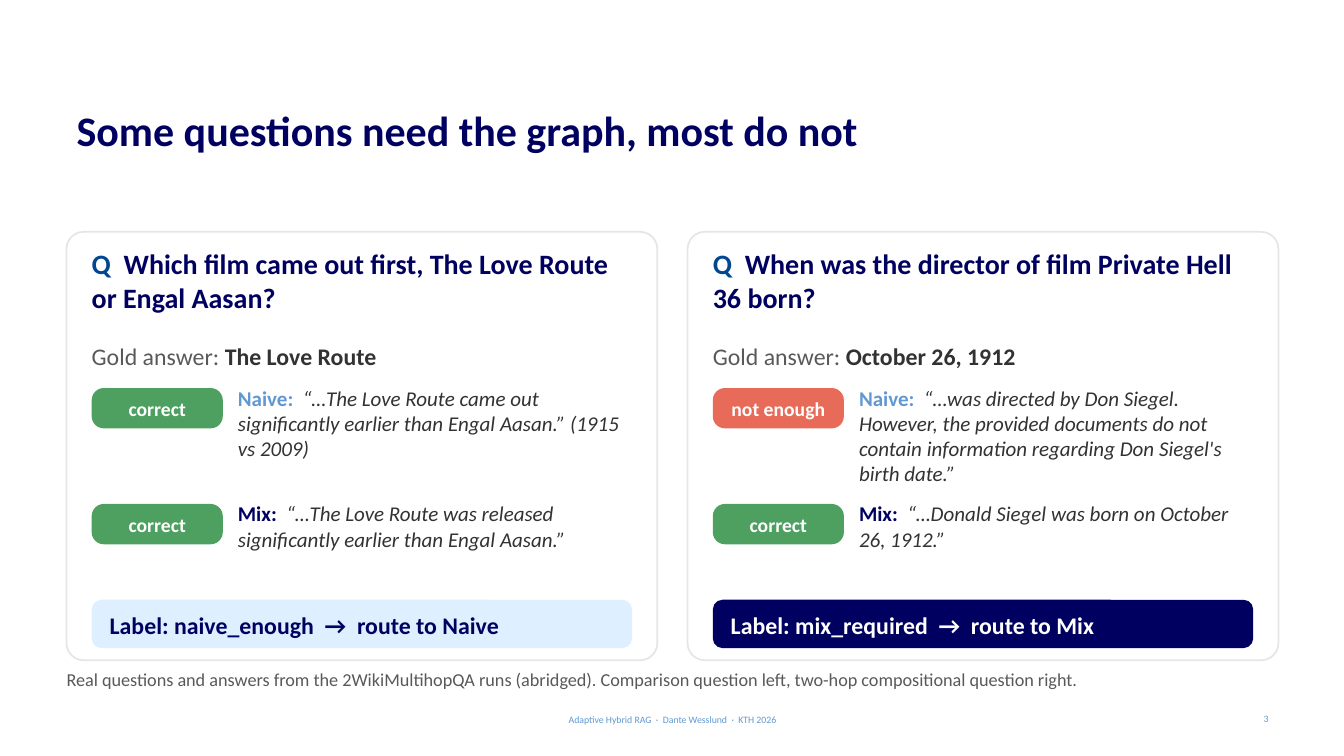
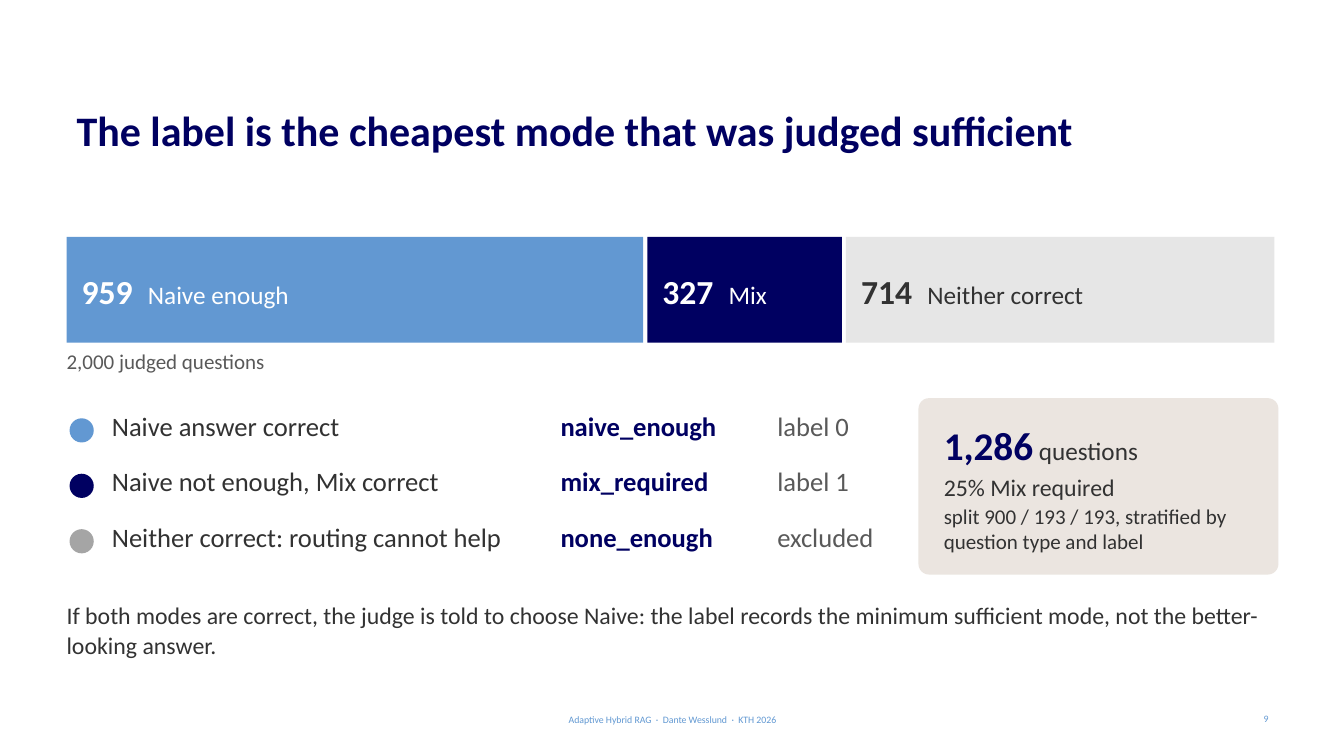
"""Build two slides on routing labels for hybrid retrieval."""
from pptx import Presentation
from pptx.dml.color import RGBColor as Rgb
from pptx.enum.shapes import MSO_SHAPE as Kind
from pptx.enum.text import MSO_ANCHOR as Anchor, MSO_AUTO_SIZE as Fit, PP_ALIGN as Align
from pptx.util import Pt

PX = 9144
FONT = "Calibri"
LEFT, WIDE = 66, 1202
HUE = {
    "navy": "000061", "blue": "004791", "sky": "6298D2", "foot": "6198D2",
    "pale": "DEF0FF", "ink": "323232", "mute": "595959", "gray": "A5A5A5",
    "rule": "E6E6E6", "sand": "EBE5E0", "good": "4DA060", "bad": "E86A58",
    "white": "FFFFFF",
}


def write(shape, *lines, pad=(0, 0, 0, 0), anchor=Anchor.TOP, align=Align.LEFT, lead=1.05, gap=0):
    """Fill a shape with lines, each a list of (text, size, hue, style) runs."""
    frame = shape.text_frame
    frame.word_wrap = True
    frame.auto_size = Fit.NONE
    frame.vertical_anchor = anchor
    frame.margin_left, frame.margin_top, frame.margin_right, frame.margin_bottom = [n * PX for n in pad]
    for i, line in enumerate(lines):
        para = frame.add_paragraph() if i else frame.paragraphs[0]
        para.alignment = align
        para.line_spacing = lead
        para.space_after = Pt(gap)
        for text, size, hue, style in line:
            run = para.add_run()
            run.text = text
            run.font.name = FONT
            run.font.size = Pt(size)
            run.font.bold = style == "bold"
            run.font.italic = style == "italic"
            run.font.color.rgb = Rgb.from_string(HUE[hue])


def draw(slide, box, kind=None, fill=None, edge=None, bend=None):
    """Add a text box, or a filled shape when a kind is given."""
    spot = [n * PX for n in box]
    if kind is None:
        return slide.shapes.add_textbox(*spot)
    shape = slide.shapes.add_shape(kind, *spot)
    shape.shadow.inherit = False
    shape.fill.solid()
    shape.fill.fore_color.rgb = Rgb.from_string(HUE[fill])
    if edge:
        shape.line.color.rgb = Rgb.from_string(HUE[edge])
        shape.line.width = Pt(1.25)
    else:
        shape.line.fill.background()
    if bend:
        shape.adjustments[0] = bend
    return shape


deck = Presentation()
deck.slide_width, deck.slide_height = 1333 * PX, 750 * PX

heads = [
    ("Some questions need the graph, most do not", "3"),
    ("The label is the cheapest mode that was judged sufficient", "9"),
]
for head, page in heads:
    slide = deck.slides.add_slide(deck.slide_layouts[5])
    title = slide.shapes.title
    title.left, title.top, title.width, title.height = [n * PX for n in (LEFT, 95, WIDE, 105)]
    write(title, [(head, 30, "navy", "bold")], pad=(10, 12, 10, 5), lead=0.95)
    feet = [
        ((442, 708, 450, 11), "Adaptive Hybrid RAG  ·  Dante Wesslund  ·  KTH 2026", Align.CENTER),
        ((968, 708, 300, 10), page, Align.RIGHT),
    ]
    for box, text, align in feet:
        write(draw(slide, box), [(text, 7, "foot", "")], pad=(10, 5, 10, 5),
              anchor=Anchor.MIDDLE, align=align, lead=1.0)

graph, label = deck.slides

cards = [
    ("Which film came out first, The Love Route or Engal Aasan?", "The Love Route",
     [("correct", "good", "Naive:  ", "sky",
       "“…The Love Route came out significantly earlier than Engal Aasan.” (1915 vs 2009)"),
      ("correct", "good", "Mix:  ", "navy",
       "“…The Love Route was released significantly earlier than Engal Aasan.”")],
     "Label: naive_enough  →  route to Naive", "pale", "navy"),
    ("When was the director of film Private Hell 36 born?", "October 26, 1912",
     [("not enough", "bad", "Naive:  ", "sky",
       "“…was directed by Don Siegel. However, the provided documents do not contain "
       "information regarding Don Siegel's birth date.”"),
      ("correct", "good", "Mix:  ", "navy", "“…Donald Siegel was born on October 26, 1912.”")],
     "Label: mix_required  →  route to Mix", "navy", "white"),
]
for i, (ask, gold, modes, route, fill, hue) in enumerate(cards):
    x = LEFT + i * 616
    draw(graph, (x, 230, 586, 425), Kind.ROUNDED_RECTANGLE, "white", "rule", 0.04)
    x += 25
    write(draw(graph, (x, 245, 536, 95)),
          [("Q  ", 20, "blue", "bold"), (ask, 20, "navy", "bold")], lead=1.0)
    write(draw(graph, (x, 338, 536, 35)),
          [("Gold answer: ", 17, "mute", ""), (gold, 17, "ink", "bold")])
    for j, (mark, tint, mode, tone, quote) in enumerate(modes):
        y = 385 + j * 115
        pill = draw(graph, (x, y, 130, 40), Kind.ROUNDED_RECTANGLE, tint, bend=0.3)
        write(pill, [(mark, 14, "white", "bold")], pad=(2, 2, 2, 2),
              anchor=Anchor.MIDDLE, align=Align.CENTER)
        write(draw(graph, (x + 145, y - 3, 386, 105)),
              [(mode, 15, tone, "bold"), (quote, 15, "ink", "italic")], lead=1.0)
    band = draw(graph, (x, 595, 536, 48), Kind.ROUNDED_RECTANGLE, fill, bend=0.2)
    write(band, [(route, 17, hue, "bold")], pad=(15, 15, 15, 15), anchor=Anchor.MIDDLE)
write(draw(graph, (LEFT, 662, WIDE, 30)),
      [("Real questions and answers from the 2WikiMultihopQA runs (abridged). "
        "Comparison question left, two-hop compositional question right.", 13, "mute", "")])

parts = [
    (959, "Naive enough", "sky", "white"),
    (327, "Mix", "navy", "white"),
    (714, "Neither correct", "rule", "ink"),
]
total = sum(part[0] for part in parts)
done = 0
for count, name, fill, hue in parts:
    x = LEFT + round(WIDE * done / total)
    bar = draw(label, (x, 235, round(WIDE * count / total) - 4, 105), Kind.RECTANGLE, fill)
    write(bar, [(f"{count}  ", 24, hue, "bold"), (name, 18, hue, "")],
          pad=(15, 15, 15, 15), anchor=Anchor.MIDDLE)
    done += count
write(draw(label, (LEFT, 345, WIDE, 35)), [("2,000 judged questions", 15, "mute", "")])

rows = [
    ("sky", "Naive answer correct", "naive_enough", "label 0"),
    ("navy", "Naive not enough, Mix correct", "mix_required", "label 1"),
    ("gray", "Neither correct: routing cannot help", "none_enough", "excluded"),
]
cols = [(111, 435, "ink", ""), (556, 210, "navy", "bold"), (771, 125, "mute", "")]
for i, (dot, *texts) in enumerate(rows):
    y = 405 + i * 55
    draw(label, (69, y + 10, 24, 24), Kind.OVAL, dot)
    for text, (x, wide, hue, style) in zip(texts, cols):
        write(draw(label, (x, y, wide, 45)), [(text, 19, hue, style)])

stat = draw(label, (911, 395, 357, 175), Kind.ROUNDED_RECTANGLE, "sand", bend=0.06)
write(stat,
      [("1,286", 28, "navy", "bold"), (" questions", 18, "ink", "")],
      [("25% Mix required", 17, "ink", "")],
      [("split 900 / 193 / 193, stratified by question type and label", 15, "ink", "")],
      pad=(22, 22, 22, 22), anchor=Anchor.MIDDLE, gap=2)
stat.text_frame.paragraphs[-1].line_spacing = 1.0
write(draw(label, (LEFT, 595, WIDE, 70)),
      [("If both modes are correct, the judge is told to choose Naive: the label records "
        "the minimum sufficient mode, not the better-looking answer.", 17, "ink", "")])

deck.save("out.pptx")
